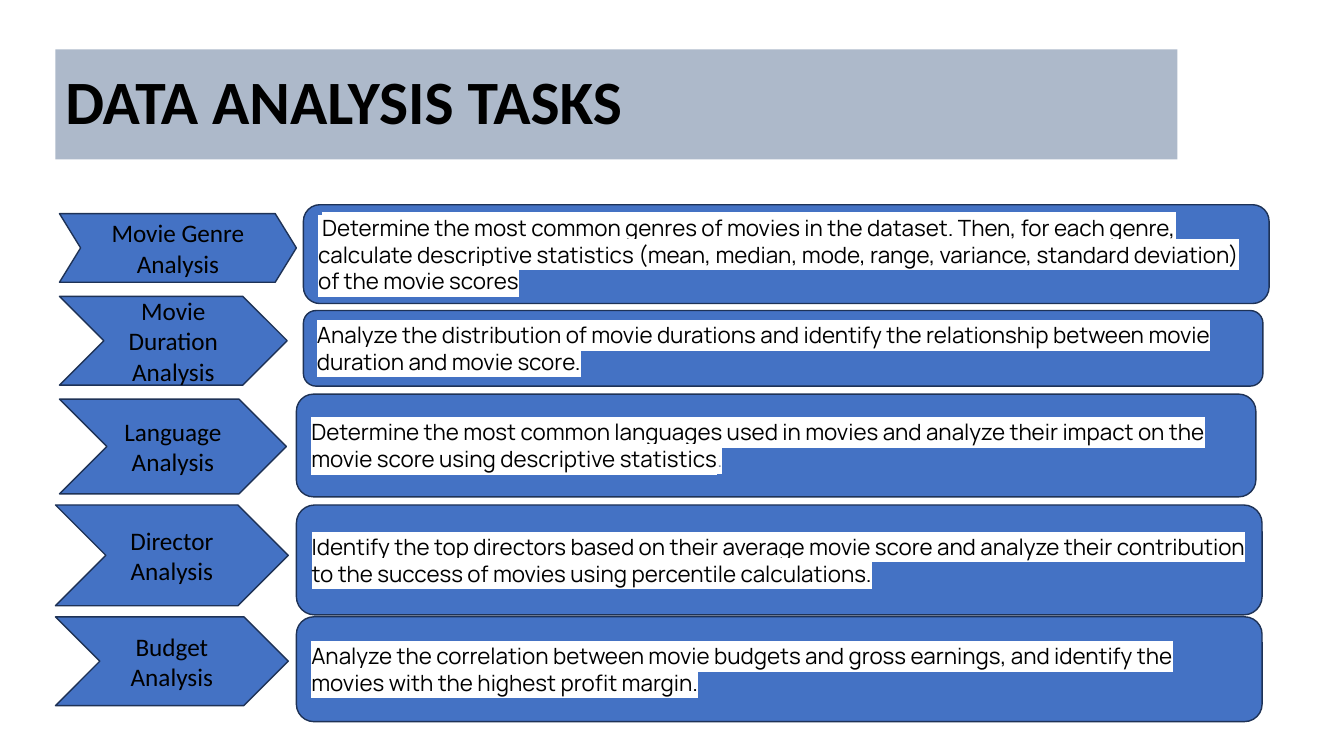
"""Build the slide of data analysis tasks for a movie dataset."""
from lxml.etree import SubElement
from pptx import Presentation
from pptx.dml.color import RGBColor
from pptx.enum.shapes import MSO_SHAPE as SHAPE
from pptx.enum.text import MSO_ANCHOR as ANCHOR, PP_ALIGN as ALIGN
from pptx.oxml.ns import qn
from pptx.util import Pt

BLACK, WHITE, GREY = "000000", "FFFFFF", "8492A6"
BLUE, NAVY, BAND = "4472C4", "1E3256", "ADB9CA"

BODY, MARK = (16, BLACK), (14, GREY)
TITLE = "DATA ANALYSIS TASKS"
TITLE_BOX = (39.6, 35.3, 801.4, 78.5)

# (task, arrow box, arrow notch, description runs, description box)
TASKS = [
    ("Movie Genre Analysis", (42.5, 152.6, 169.2, 49), 0.308,
     [(" ", MARK),
      ("Determine the most common genres of movies in the dataset. Then, for each genre, "
       "calculate descriptive statistics (mean, median, mode, range, variance, standard "
       "deviation) of the movie scores", BODY)],
     (216.7, 146.2, 689.8, 70.6)),
    ("Movie Duration Analysis", (42.5, 211.7, 162.7, 63.4), 0.5,
     [("Analyze the distribution of movie durations and identify the relationship between "
       "movie duration and movie score.", BODY)],
     (216.7, 221.8, 685.4, 54)),
    ("Language Analysis", (42.5, 285.1, 162, 67.7), 0.5,
     [("Determine the most common languages used in movies and analyze their impact on the "
       "movie score using descriptive statistics", BODY),
      (".", MARK)],
     (211.7, 281.5, 685.4, 73.4)),
    ("Director Analysis", (39.6, 360.7, 166.3, 72), 0.5,
     [("Identify the top directors based on their average movie score and analyze their "
       "contribution to the success of movies using percentile calculations.", BODY)],
     (211.7, 360.7, 689.8, 78.5)),
    ("Budget Analysis", (39.6, 440.6, 166.3, 63.4), 0.5,
     [("Analyze the correlation between movie budgets and gross earnings, and identify the "
       "movies with the highest profit margin.", BODY)],
     (211.7, 440.6, 689.8, 74.9)),
]


def rgb(code):
    return RGBColor.from_string(code)


def add_panel(slide, preset, box, fill, line=None):
    panel = slide.shapes.add_shape(preset, *map(Pt, box))
    panel.shadow.inherit = False
    panel.fill.solid()
    panel.fill.fore_color.rgb = rgb(fill)
    if line:
        panel.line.color.rgb = rgb(line)
        panel.line.width = Pt(1)
    else:
        panel.line.fill.background()
    panel.text_frame.word_wrap = True
    panel.text_frame.vertical_anchor = ANCHOR.MIDDLE
    return panel


def set_label(panel, text, size, align, bold=False):
    label = panel.text_frame.paragraphs[0]
    label.text = text
    label.alignment = align
    label.font.name = "Calibri"
    label.font.size = Pt(size)
    label.font.bold = bold
    label.font.color.rgb = rgb(BLACK)
    return label


def set_description(panel, pieces):
    description = panel.text_frame.paragraphs[0]
    description.alignment = ALIGN.LEFT
    description.font.name = "Manrope"
    for text, (size, color) in pieces:
        piece = description.add_run()
        piece.text = text
        piece.font.size = Pt(size)
        piece.font.color.rgb = rgb(color)
        highlight = SubElement(piece.font._element, qn("a:highlight"))
        SubElement(highlight, qn("a:srgbClr"), val=WHITE)


def main():
    deck = Presentation()
    deck.slide_width, deck.slide_height = Pt(960), Pt(540)
    slide = deck.slides.add_slide(deck.slide_layouts[6])

    banner = add_panel(slide, SHAPE.RECTANGLE, TITLE_BOX, BAND)
    set_label(banner, TITLE, 44, ALIGN.LEFT, bold=True).line_spacing = 0.9

    for task, arrow_box, notch, pieces, description_box in TASKS:
        arrow = add_panel(slide, SHAPE.CHEVRON, arrow_box, BLUE, NAVY)
        arrow.adjustments[0] = notch
        set_label(arrow, task, 18, ALIGN.CENTER)
        card = add_panel(slide, SHAPE.FLOWCHART_ALTERNATE_PROCESS, description_box, BLUE, NAVY)
        set_description(card, pieces)

    deck.save("out.pptx")


if __name__ == "__main__":
    main()
